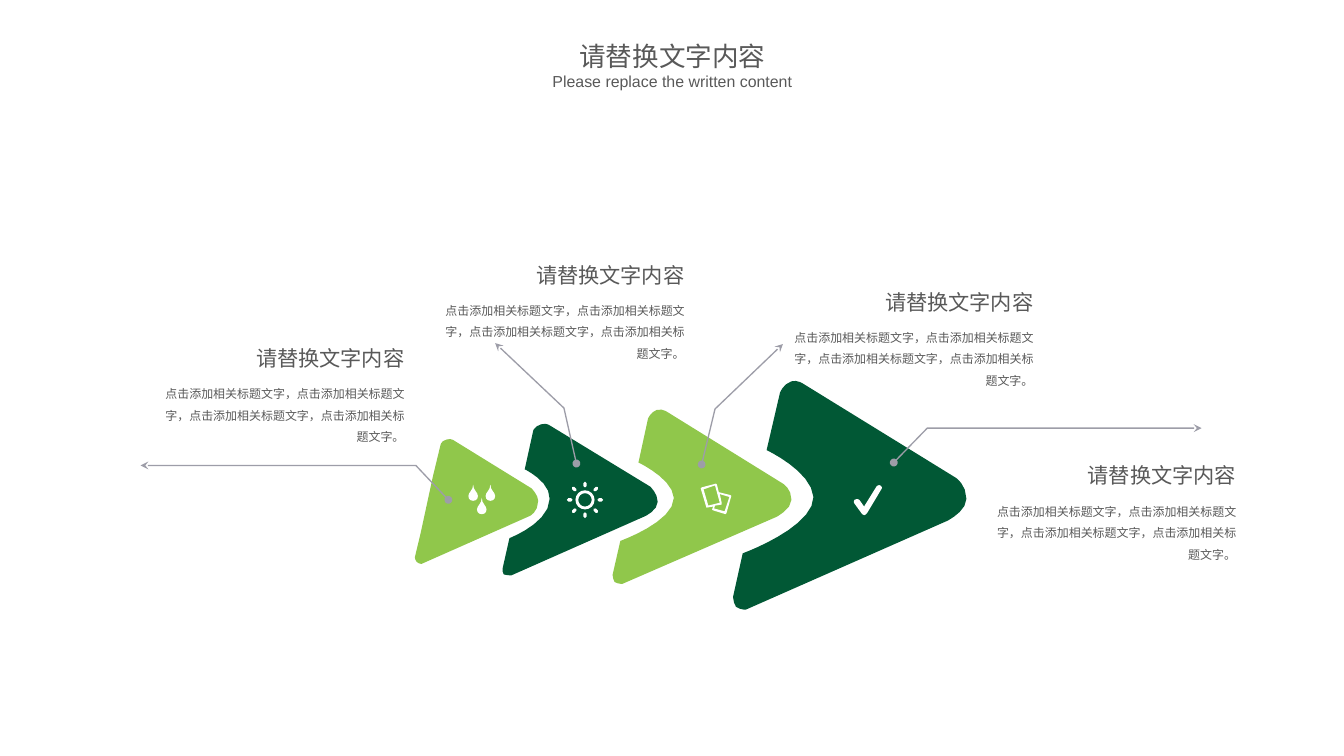
import math
import pptx
import pptx.util
import pptx.dml.color
import pptx.enum.text
import pptx.oxml.ns
import lxml.etree

Inches = pptx.util.Inches
Align = pptx.enum.text.PP_ALIGN
Anchor = pptx.enum.text.MSO_ANCHOR
AutoSize = pptx.enum.text.MSO_AUTO_SIZE
colour = pptx.dml.color.RGBColor.from_string

DARK, LIGHT, WHITE, GREY, TEXT = "015835", "90C74B", "FFFFFF", "9D9DA8", "595959"
HEADING = "请替换文字内容"
BODY = "点击添加相关标题文字，点击添加相关标题文字，点击添加相关标题文字，点击添加相关标题文字。"

deck = pptx.Presentation()
deck.slide_width, deck.slide_height = Inches(14.06), Inches(7.91)
page = deck.slides.add_slide(deck.slide_layouts[5])


def draw_outline(contours, fill=None):
    builder = None
    for contour in contours:
        points = [contour[0]]
        for segment in contour[1:]:
            if len(segment) == 2:
                points.append(segment)
                continue
            x0, y0 = points[-1]
            x1, y1, x2, y2, x3, y3 = segment
            steps = 3 + int(8 * math.hypot(x3 - x0, y3 - y0))
            for step in range(1, steps + 1):
                t = step / steps
                a, b, c, d = (1 - t) ** 3, 3 * t * (1 - t) ** 2, 3 * t * t * (1 - t), t ** 3
                points.append((a * x0 + b * x1 + c * x2 + d * x3,
                               a * y0 + b * y1 + c * y2 + d * y3))
        points = [(Inches(x), Inches(y)) for x, y in points]
        if builder is None:
            builder = page.shapes.build_freeform(*points[0], scale=1.0)
        else:
            builder.move_to(*points[0])
        builder.add_line_segments(points[1:], close=fill is not None)
    shape = builder.convert_to_shape()
    shape.shadow.inherit = False
    if fill is None:
        shape.fill.background()
    else:
        shape.fill.solid()
        shape.fill.fore_color.rgb = colour(fill)
        shape.line.fill.background()
    return shape


def oval(centre_x, centre_y, radius_x, radius_y, turn, count):
    points = []
    for step in range(count):
        angle = 2 * math.pi * step / count
        u, v = radius_x * math.cos(angle), radius_y * math.sin(angle)
        points.append((centre_x + u * math.cos(turn) - v * math.sin(turn),
                       centre_y + u * math.sin(turn) + v * math.cos(turn)))
    return points


wedge_large = [
    (10.11, 5.22), (10.11, 5.35, 9.91, 5.45, 9.91, 5.45), (7.8, 6.38),
    (7.8, 6.38, 7.74, 6.38, 7.7, 6.35), (7.67, 6.31, 7.67, 6.24, 7.67, 6.24),
    (7.77, 5.79), (7.77, 5.79, 8.51, 5.52, 8.51, 5.2),
    (8.49, 4.93, 8.02, 4.71, 8.02, 4.71), (8.16, 4.11),
    (8.16, 4.11, 8.19, 4.02, 8.28, 3.99), (8.34, 3.97, 8.41, 4.02, 8.41, 4.02),
    (10, 5), (10, 5, 10.11, 5.07, 10.11, 5.22)]
wedge_medium = [
    (8.28, 5.23), (8.28, 5.33, 8.12, 5.41, 8.12, 5.41), (6.51, 6.11),
    (6.51, 6.11, 6.46, 6.11, 6.43, 6.09), (6.41, 6.06, 6.41, 6.01, 6.41, 6.01),
    (6.49, 5.66), (6.49, 5.66, 7.05, 5.46, 7.05, 5.21),
    (7.04, 5.01, 6.68, 4.84, 6.68, 4.84), (6.78, 4.38),
    (6.78, 4.38, 6.81, 4.31, 6.87, 4.29), (6.92, 4.27, 6.98, 4.31, 6.98, 4.31),
    (8.19, 5.06), (8.19, 5.06, 8.28, 5.11, 8.28, 5.23)]
wedge_small = [
    (6.88, 5.25), (6.88, 5.34, 6.75, 5.4, 6.75, 5.4), (5.35, 6.02),
    (5.35, 6.02, 5.3, 6.02, 5.27, 6.01), (5.25, 5.98, 5.26, 5.94, 5.26, 5.94),
    (5.33, 5.63), (5.33, 5.63, 5.75, 5.47, 5.75, 5.22),
    (5.76, 5.04, 5.49, 4.91, 5.49, 4.91), (5.58, 4.5),
    (5.58, 4.5, 5.61, 4.45, 5.66, 4.44), (5.71, 4.42, 5.75, 4.45, 5.75, 4.45),
    (6.8, 5.09), (6.8, 5.09, 6.88, 5.16, 6.88, 5.25)]
triangle = [
    (4.53, 4.98), (4.61, 4.65), (4.61, 4.65, 4.62, 4.61, 4.67, 4.6),
    (4.71, 4.58, 4.75, 4.61, 4.75, 4.61), (5.56, 5.11),
    (5.56, 5.11, 5.63, 5.18, 5.63, 5.24), (5.63, 5.36, 5.54, 5.4, 5.54, 5.4),
    (4.41, 5.9), (4.41, 5.9, 4.38, 5.9, 4.36, 5.88),
    (4.34, 5.86, 4.34, 5.83, 4.34, 5.83), (4.4, 5.58)]

drops = [[
    (x, y), (x, y + 0.06, x - 0.05, y + 0.08, x - 0.05, y + 0.12),
    (x - 0.05, y + 0.15, x - 0.03, y + 0.17, x, y + 0.17),
    (x + 0.03, y + 0.17, x + 0.05, y + 0.15, x + 0.05, y + 0.12),
    (x + 0.05, y + 0.08, x, y + 0.06, x, y),
] for x, y in [(4.95, 5.07), (5.13, 5.07), (5.04, 5.21)]]

sun_x, sun_y = 6.12, 5.23
sun = [oval(sun_x, sun_y, radius, radius, 0, 16) for radius in (0.1, 0.07)]
for ray in range(8):
    turn = ray * math.pi / 4
    sun.append(oval(sun_x + 0.16 * math.cos(turn), sun_y + 0.16 * math.sin(turn),
                    0.03, 0.02, turn, 6))

cards = [
    [(7.64, 5.18), (7.52, 5.15), (7.5, 5.07), (7.49, 5.06), (7.34, 5.1), (7.33, 5.11),
     (7.39, 5.31), (7.4, 5.31), (7.46, 5.3), (7.45, 5.33), (7.46, 5.34), (7.59, 5.38),
     (7.6, 5.37), (7.65, 5.19)],
    [(7.36, 5.12), (7.48, 5.08), (7.53, 5.26), (7.41, 5.29)],
    [(7.58, 5.35), (7.47, 5.32), (7.48, 5.29), (7.55, 5.28), (7.55, 5.26), (7.53, 5.17),
     (7.63, 5.2)]]

check = [[
    (9.04, 5.39), (9.02, 5.38), (8.94, 5.27),
    (8.93, 5.26, 8.93, 5.24, 8.94, 5.23), (8.96, 5.22, 8.98, 5.22, 8.99, 5.23),
    (9.04, 5.3), (9.17, 5.09), (9.18, 5.08, 9.2, 5.07, 9.21, 5.08),
    (9.23, 5.09, 9.23, 5.11, 9.22, 5.12), (9.07, 5.37),
    (9.06, 5.38, 9.05, 5.39, 9.04, 5.39)]]

leaders = [
    [(9.35, 4.84), (9.7, 4.48), (12.57, 4.48)],
    [(4.69, 5.23), (4.35, 4.87), (1.47, 4.87)],
    [(7.34, 4.86), (7.48, 4.28), (8.19, 3.6)],
    [(6.03, 4.85), (5.9, 4.27), (5.18, 3.59)]]

for wedge, fill in [(wedge_large, DARK), (wedge_medium, LIGHT),
                    (wedge_small, DARK), (triangle, LIGHT)]:
    draw_outline([wedge], fill)

for leader in leaders:
    arrow = draw_outline([leader])
    arrow.line.color.rgb = colour(GREY)
    arrow.line.width = pptx.util.Pt(1)
    line = arrow.line.fill._xPr
    for end, kind in (("a:headEnd", "oval"), ("a:tailEnd", "stealth")):
        lxml.etree.SubElement(line, pptx.oxml.ns.qn(end), type=kind)

for icon in (drops, sun, cards, check):
    draw_outline(icon, WHITE)

heading_frame = {"margin_left": 0, "margin_right": 0, "margin_top": Inches(0.11),
                 "margin_bottom": Inches(0.11), "vertical_anchor": Anchor.MIDDLE,
                 "word_wrap": True}
body_frame = {"margin_left": 0, "margin_right": 0, "margin_top": 0, "margin_bottom": 0,
              "vertical_anchor": Anchor.TOP, "word_wrap": True}
title_frame = {"margin_left": Inches(0.1), "margin_right": Inches(0.1),
               "margin_top": Inches(0.05), "margin_bottom": Inches(0.05),
               "vertical_anchor": Anchor.TOP, "word_wrap": False,
               "auto_size": AutoSize.SHAPE_TO_FIT_TEXT}

texts = [
    (page.shapes.title, (5.95, 0.2, 2.17, 0.55), HEADING, title_frame,
     Align.CENTER, 1.5, 20, "Calibri"),
    (None, (5.67, 0.6, 2.73, 0.37), "Please replace the written content", title_frame,
     Align.CENTER, 1.5, 12, "Arial")]
for right, top in [(4.23, 3.55), (7.16, 2.68), (10.81, 2.96), (12.93, 4.78)]:
    texts.append((None, (right - 2.91, top, 2.91, 0.39), HEADING, heading_frame,
                  Align.RIGHT, 1.0, 16, "Lato"))
    texts.append((None, (right - 2.51, top + 0.42, 2.51, 0.63), BODY, body_frame,
                  Align.RIGHT, 1.5, 9, "Arial"))

for box, place, words, frame_format, alignment, spacing, size, font in texts:
    lengths = [Inches(length) for length in place]
    box = box or page.shapes.add_textbox(*lengths)
    box.left, box.top, box.width, box.height = lengths
    for name, value in frame_format.items():
        setattr(box.text_frame, name, value)
    para = box.text_frame.paragraphs[0]
    para.alignment, para.line_spacing = alignment, spacing
    span = para.add_run()
    span.text = words
    for name, value in {"size": pptx.util.Pt(size), "name": font}.items():
        setattr(span.font, name, value)
    span.font.color.rgb = colour(TEXT)

deck.save("out.pptx")
